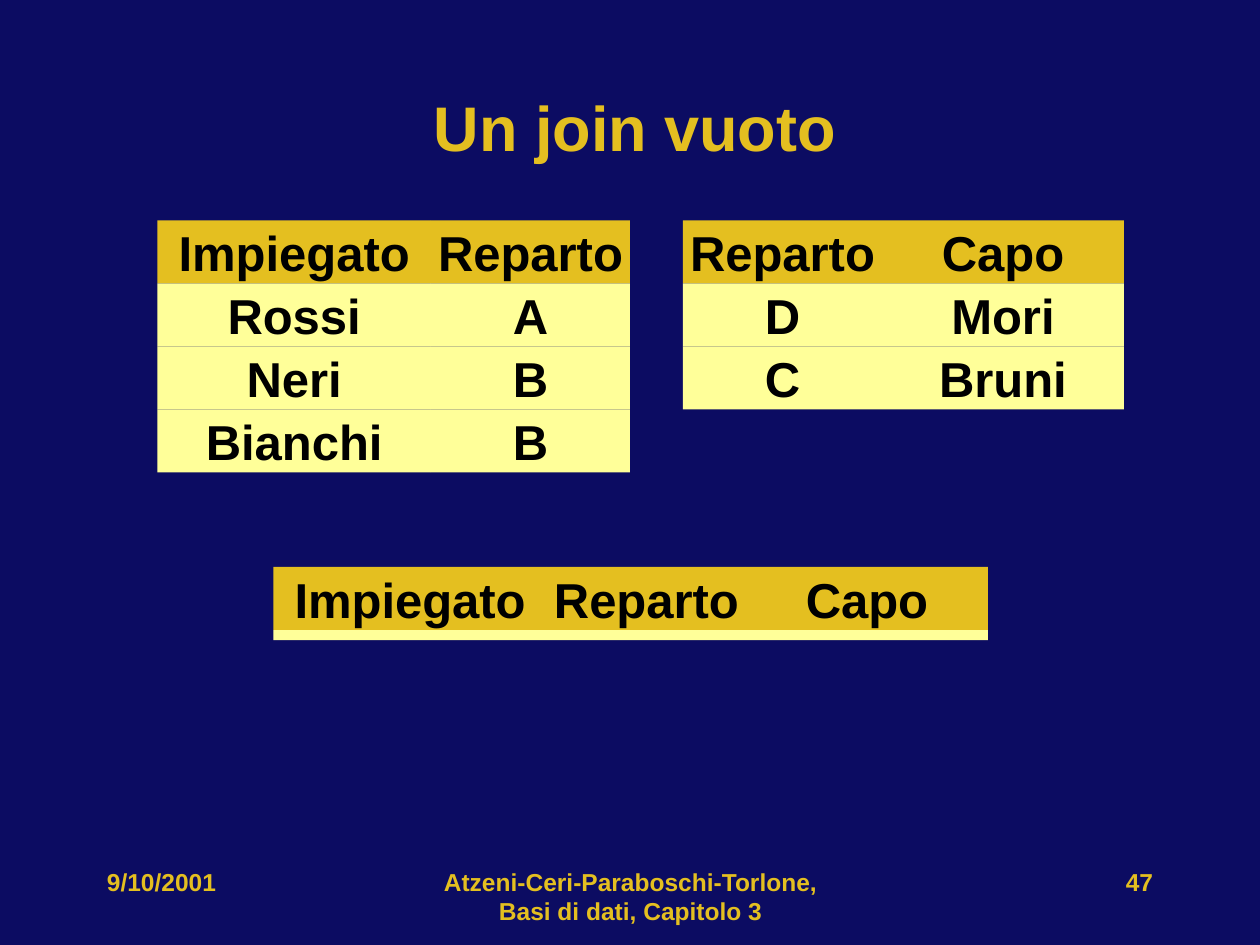
from pptx import Presentation
from pptx import util as u
from pptx.dml.color import RGBColor
from pptx.enum import shapes, text

NAVY = RGBColor(0x0C, 0x0C, 0x62)
GOLD = RGBColor(0xE4, 0xBF, 0x20)
CREAM = RGBColor(0xFF, 0xFF, 0x99)
BLACK = RGBColor(0, 0, 0)

ROW_HEIGHT = 0.5
COLUMN_WIDTHS = {"Impiegato": 2.17, "Reparto": 1.58, "Capo": 1.92}
EMPTY_HEIGHT = 0.08
FOOTER_TOP = 6.83


def write(tf, content, size=14, color=GOLD, align=text.PP_ALIGN.CENTER,
          anchor=text.MSO_ANCHOR.TOP, wrap=True, font="Arial"):
    tf.word_wrap = wrap
    tf.vertical_anchor = anchor
    p = tf.paragraphs[0]
    p.alignment = align
    r = p.add_run()
    r.text = content
    r.font.name = font
    r.font.size = u.Pt(size)
    r.font.bold = True
    r.font.color.rgb = color


class Deck:
    def __init__(self):
        self.prs = Presentation()
        self.prs.slide_width = u.Inches(10)
        self.prs.slide_height = u.Inches(7.5)
        self.s = self.prs.slides.add_slide(self.prs.slide_layouts[6])
        self.s.background.fill.solid()
        self.s.background.fill.fore_color.rgb = NAVY

    def label(self, content, left, top, width, height, **style):
        sp = self.s.shapes.add_textbox(*map(u.Inches, (left, top, width, height)))
        write(sp.text_frame, content, **style)

    def box(self, group, left, top, width, height, fill):
        sp = group.shapes.add_shape(shapes.MSO_SHAPE.RECTANGLE,
                                    *map(u.Inches, (left, top, width, height)))
        sp.shadow.inherit = False
        sp.fill.solid()
        sp.fill.fore_color.rgb = fill
        sp.line.fill.background()
        return sp

    def relation(self, left, top, header, *tuples):
        group = self.s.shapes.add_group_shape()
        widths = [COLUMN_WIDTHS[name] for name in header]
        for i, values in enumerate([header, *tuples]):
            for j, value in enumerate(values):
                sp = self.box(group, left + sum(widths[:j]), top + i * ROW_HEIGHT,
                              widths[j], ROW_HEIGHT, CREAM if i else GOLD)
                write(sp.text_frame, value, size=28, color=BLACK,
                      anchor=text.MSO_ANCHOR.MIDDLE, wrap=False)
        if not tuples:
            self.box(group, left, top + ROW_HEIGHT, sum(widths), EMPTY_HEIGHT, CREAM)


def main():
    deck = Deck()
    deck.relation(1.25, 1.75, ("Impiegato", "Reparto"),
                  ("Rossi", "A"), ("Neri", "B"), ("Bianchi", "B"))
    deck.relation(5.42, 1.75, ("Reparto", "Capo"), ("D", "Mori"), ("C", "Bruni"))
    deck.relation(2.17, 4.5, ("Impiegato", "Reparto", "Capo"))
    deck.label("Un join vuoto", 0.5, 0.25, 9.08, 1.5,
               anchor=text.MSO_ANCHOR.MIDDLE, size=36)
    deck.label("Atzeni-Ceri-Paraboschi-Torlone, Basi di dati, Capitolo 3",
               3.42, FOOTER_TOP, 3.17, 0.5)
    deck.label("47", 7.17, FOOTER_TOP, 2.08, 0.5, align=text.PP_ALIGN.RIGHT)
    deck.label("9/10/2001", 0.75, FOOTER_TOP, 2.08, 0.5, align=text.PP_ALIGN.LEFT)
    deck.prs.save("out.pptx")


if __name__ == "__main__":
    main()
